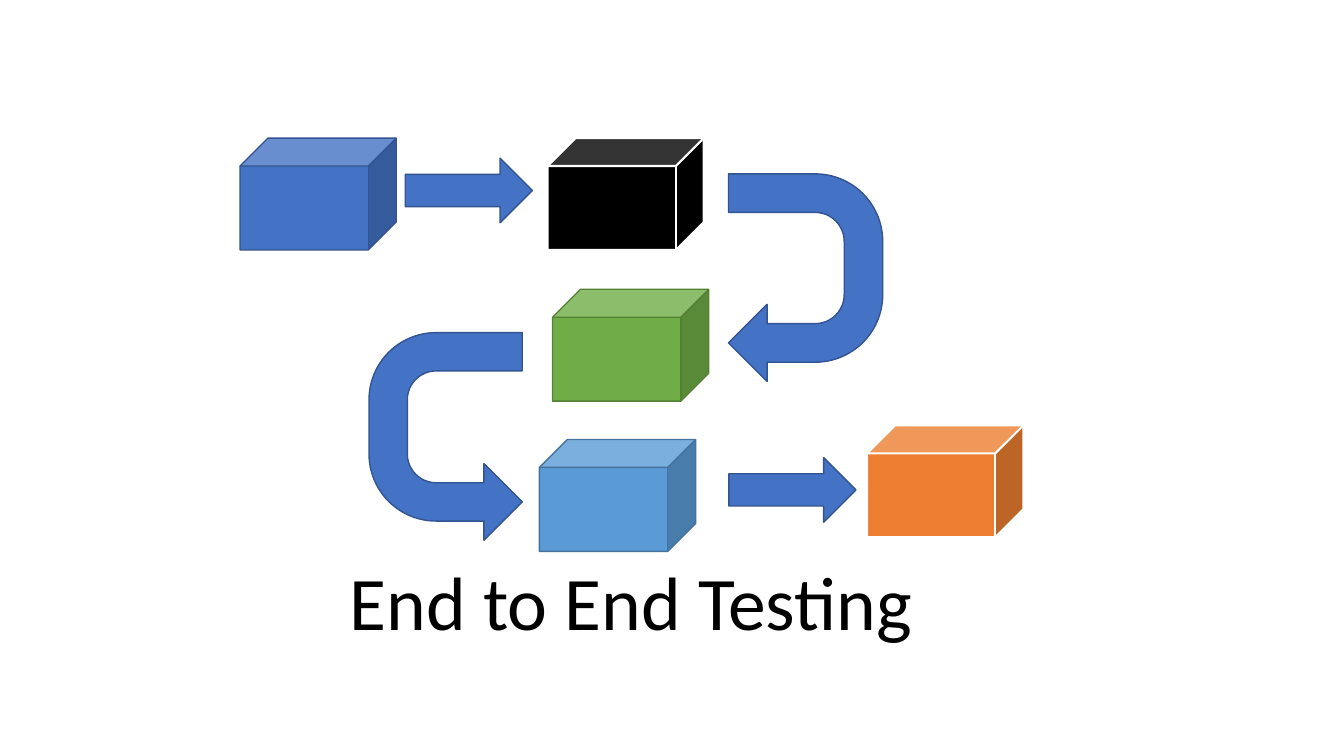
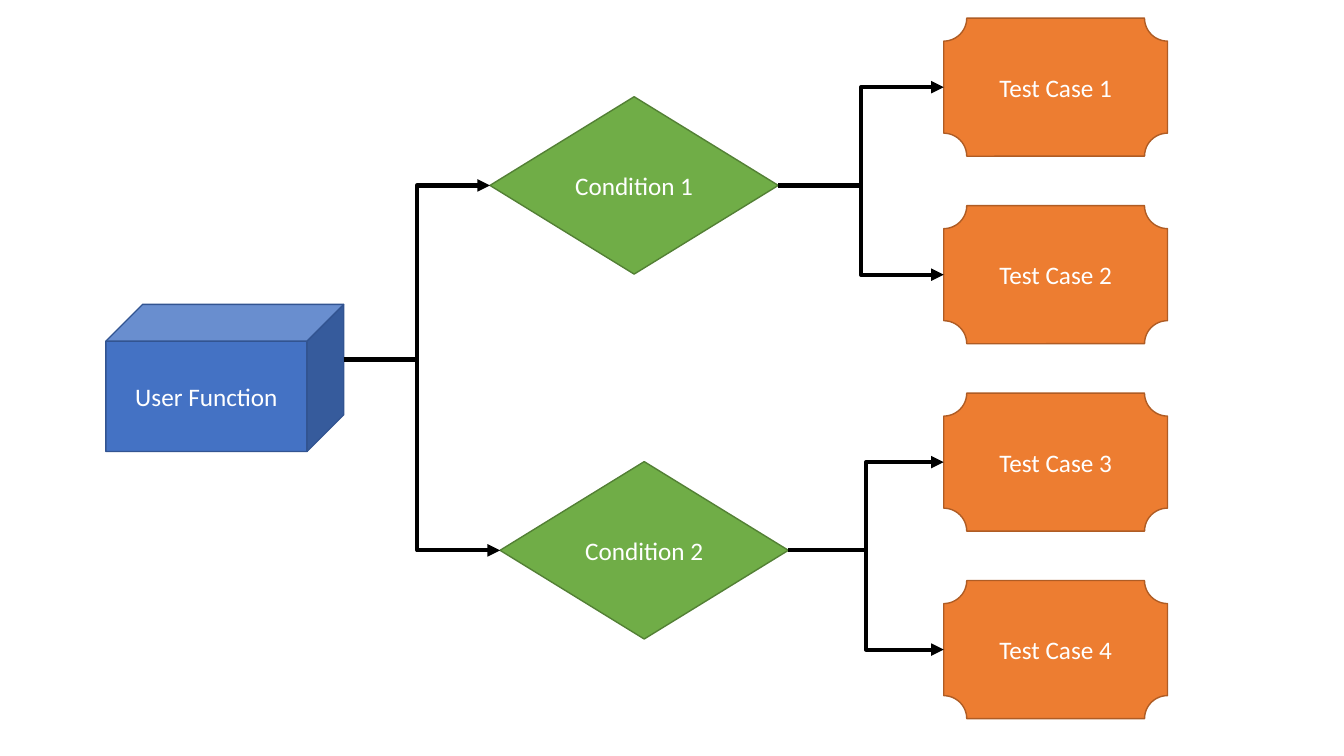
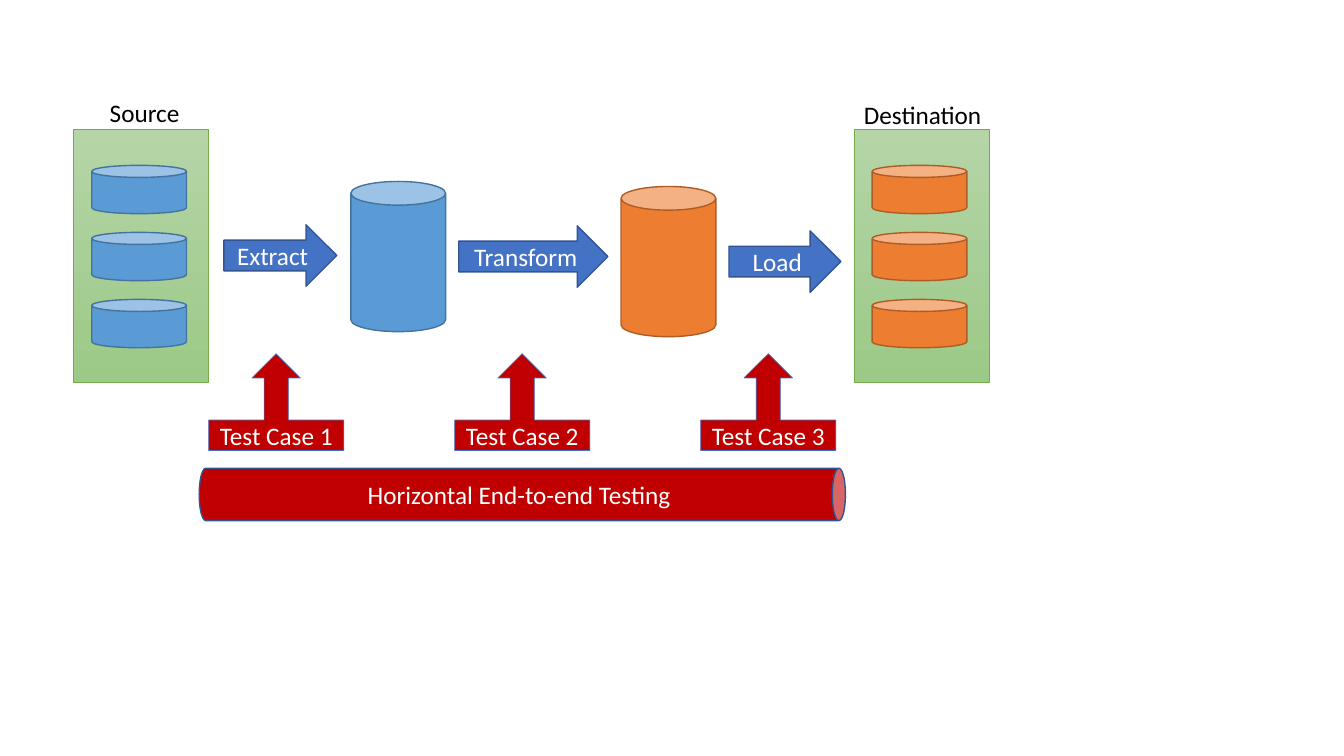
"""Three diagrams that explain end-to-end testing."""
from lxml import etree
from pptx import Presentation
from pptx.dml.color import RGBColor
from pptx.enum import shapes, text
from pptx.oxml import ns
from pptx.util import Inches, Pt

FONT = "Calibri"
BLACK, WHITE = "000000", "FFFFFF"
BLUE = ("4472C4", "325491")
GREEN = ("70AD47", "538035")
ORANGE = ("ED7D31", "AF5C24")
SKY = ("5B9BD5", "43739E")
RED = "C00000"
PANEL_TOP, PANEL_BOTTOM = "B5D5A7", "9CC987"
KIND = shapes.MSO_SHAPE
TITLE_ONLY, BLANK = 5, 6


def rgb(colour):
    """Turn a hex string into a colour."""
    return RGBColor.from_string(colour)


def write(frame, words, size=18, colour=WHITE, align=text.PP_ALIGN.CENTER):
    """Write one run of styled words in a frame."""
    paragraph = frame.paragraphs[0]
    paragraph.alignment = align
    run = paragraph.add_run()
    run.text = words
    run.font.name = FONT
    run.font.size = Pt(size)
    run.font.color.rgb = rgb(colour)


def block(slide, kind, box, colours, words="", weight=1):
    """Place a filled, outlined block with optional centred words."""
    shape = slide.shapes.add_shape(kind, *map(Inches, box))
    fill, outline = colours
    shape.shadow.inherit = False
    shape.fill.solid()
    shape.fill.fore_color.rgb = rgb(fill)
    shape.line.color.rgb = rgb(outline)
    shape.line.width = Pt(weight)
    if words:
        shape.text_frame.vertical_anchor = text.MSO_ANCHOR.MIDDLE
        write(shape.text_frame, words)
    return shape


def caption(slide, box, words):
    """Place a black label that stays on one line."""
    frame = slide.shapes.add_textbox(*map(Inches, box)).text_frame
    frame.word_wrap = False
    write(frame, words, colour=BLACK, align=text.PP_ALIGN.LEFT)


def turn_arrow(slide, box, flipped=False):
    """Place a sideways U-turn arrow."""
    arrow = block(slide, KIND.U_TURN_ARROW, box, BLUE)
    for index, value in enumerate((0.25, 0.25, 0.25, 0.438, 1)):
        arrow.adjustments[index] = value
    arrow.rotation = 90
    if flipped:
        arrow._element.spPr.find(ns.qn("a:xfrm")).set("flipV", "1")


def branch(slide, start, target, bend=0.5):
    """Draw an elbow arrow from a point to the left side of a target."""
    end = (target.left, target.top + target.height // 2)
    arrow = slide.shapes.add_connector(
        shapes.MSO_CONNECTOR.ELBOW, *start, *end)
    arrow.end_connect(target, 1)
    arrow.line.color.rgb = rgb(BLACK)
    arrow.line.width = Pt(3)
    properties = arrow._element.spPr
    guides = properties.find(ns.qn("a:prstGeom")).find(ns.qn("a:avLst"))
    etree.SubElement(guides, ns.qn("a:gd"), name="adj1",
                     fmla=f"val {round(bend * 100000)}")
    line = properties.find(ns.qn("a:ln"))
    etree.SubElement(line, ns.qn("a:tailEnd"), type="triangle")
    etree.SubElement(properties, ns.qn("a:effectLst"))
    return arrow


def condition(slide, left, top, words, cases):
    """Place a condition with arrows to its test cases."""
    diamond = block(slide, KIND.DIAMOND, (left, top, 2.86, 1.76), GREEN, words)
    start = (diamond.left + diamond.width, diamond.top + diamond.height // 2)
    for case in cases:
        branch(slide, start, case).begin_connect(diamond, 3)
    return diamond


def store(slide, left, top, colours):
    """Place a panel that holds three data stores."""
    panel = block(slide, KIND.RECTANGLE, (left, top, 1.34, 2.51),
                  (PANEL_TOP, GREEN[0]), weight=0.5)
    panel.fill.gradient()
    panel.fill.gradient_angle = 270
    for stop, colour in zip(panel.fill.gradient_stops,
                            (PANEL_TOP, PANEL_BOTTOM)):
        stop.color.rgb = rgb(colour)
    for row in range(3):
        block(slide, KIND.CAN,
              (left + 0.18, top + 0.36 + row * 0.665, 0.94, 0.48), colours)


def chain_slide(deck):
    """Build the chain of five systems under test."""
    slide = deck.slides.add_slide(deck.slide_layouts[TITLE_ONLY])
    systems = (
        (2.38, 1.37, BLUE, 1),
        (5.43, 1.37, (BLACK, WHITE), 1.5),
        (5.48, 2.87, GREEN, 1),
        (5.35, 4.36, SKY, 1),
        (8.6, 4.22, (ORANGE[0], WHITE), 1.5),
    )
    for left, top, colours, weight in systems:
        block(slide, KIND.CUBE, (left, top, 1.55, 1.11), colours,
              weight=weight)
    for left, top in ((4.02, 1.57), (7.23, 4.54)):
        block(slide, KIND.RIGHT_ARROW, (left, top, 1.26, 0.64), BLUE)
    turn_arrow(slide, (6.96, 1.99, 2.06, 1.53))
    turn_arrow(slide, (3.39, 3.57, 2.06, 1.52), flipped=True)
    title = slide.shapes.title
    title.left, title.top, title.width, title.height = map(
        Inches, (3.34, 5.45, 5.84, 1.01))
    title.text_frame.word_wrap = False
    write(title.text_frame, "End to End Testing", 54, BLACK)


def tree_slide(deck):
    """Build the tree from user function to test cases."""
    slide = deck.slides.add_slide(deck.slide_layouts[BLANK])
    cases = [
        block(slide, KIND.PLAQUE, (9.36, 0.18 + row * 1.86, 2.22, 1.37),
              ORANGE, f"Test Case {row + 1}")
        for row in range(4)
    ]
    function = block(slide, KIND.CUBE, (1.05, 3.02, 2.36, 1.46), BLUE,
                     "User Function")
    start = (function.left + function.width,
             function.top + int(function.height * 0.375))
    first = condition(slide, 4.86, 0.96, "Condition 1", cases[:2])
    second = condition(slide, 4.96, 4.58, "Condition 2", cases[2:])
    branch(slide, start, first)
    branch(slide, start, second, 0.47)


def pipeline_slide(deck):
    """Build the data pipeline with a test case at each step."""
    slide = deck.slides.add_slide(deck.slide_layouts[BLANK])
    store(slide, 0.73, 1.28, SKY)
    store(slide, 8.47, 1.28, ORANGE)
    caption(slide, (0.99, 0.92, 0.9, 0.4), "Source")
    caption(slide, (8.47, 0.94, 1.38, 0.4), "Destination")
    for left, top, colours in ((3.48, 1.8, SKY), (6.16, 1.85, ORANGE)):
        block(slide, KIND.CAN, (left, top, 0.94, 1.49), colours)
    steps = (
        ("Extract", 2.22, 2.23, 1.12),
        ("Transform", 4.55, 2.24, 1.48),
        ("Load", 7.23, 2.29, 1.11),
    )
    for number, (step, left, top, width) in enumerate(steps):
        block(slide, KIND.RIGHT_ARROW, (left, top, width, 0.61), BLUE, step)
        case = block(slide, KIND.UP_ARROW_CALLOUT,
                     (2.07 + number * 2.44, 3.51, 1.34, 0.96),
                     (RED, BLUE[0]), f"Test Case {number + 1}", 0.5)
        case.adjustments[3] = 0.315
    pipe = block(slide, KIND.CAN, (4.92, 1.7, 0.52, 6.41), (RED, BLUE[1]),
                 "Horizontal End-to-end Testing")
    pipe.rotation = 90
    pipe.text_frame._txBody.bodyPr.set("vert", "vert270")


def main():
    """Build and save the deck."""
    deck = Presentation()
    deck.slide_width, deck.slide_height = Inches(13.33), Inches(7.5)
    for build in (chain_slide, tree_slide, pipeline_slide):
        build(deck)
    deck.save("out.pptx")


if __name__ == "__main__":
    main()
